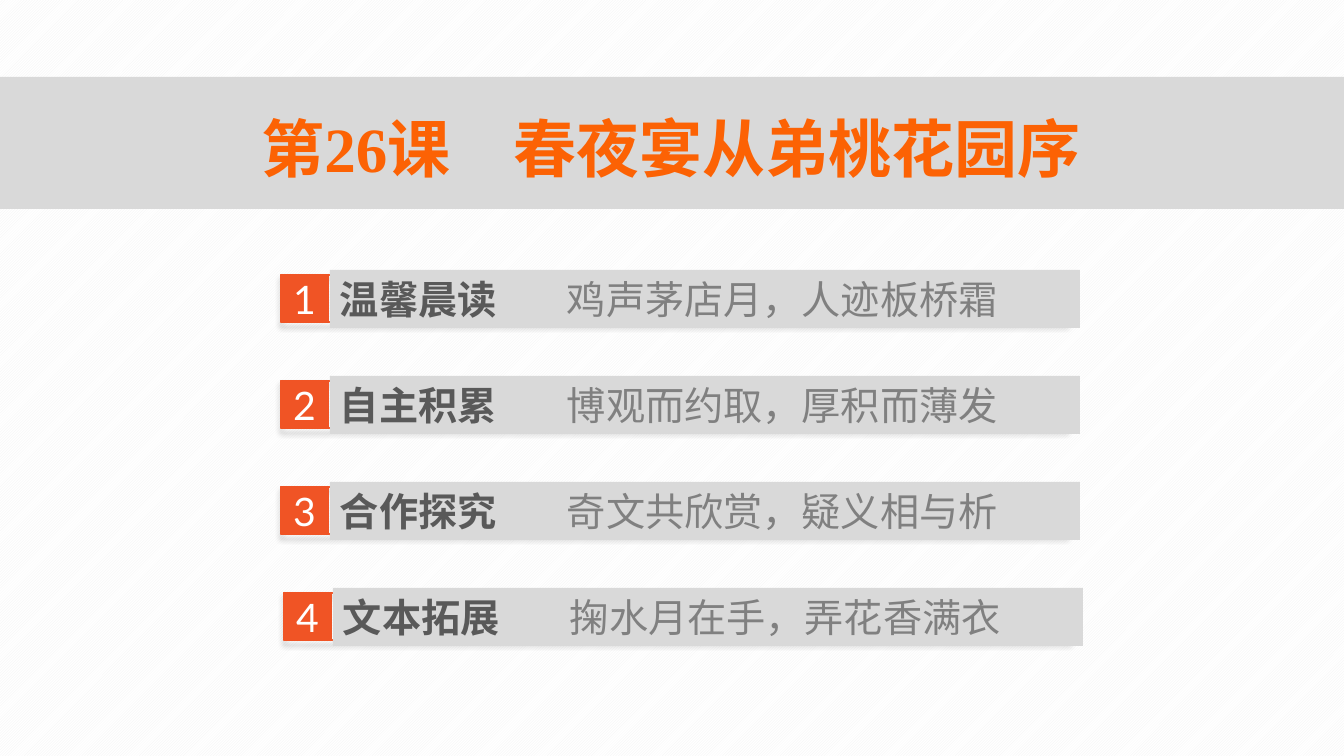
from lxml import etree
from pptx import Presentation
from pptx import util as u
from pptx.dml.color import RGBColor
from pptx.enum import dml, shapes, text
from pptx.oxml.ns import qn

TITLE = "第26课\u3000春夜宴从弟桃花园序".replace("\u3000", "　")
# heading, verse, shift to the right in px
SECTIONS = [
    ("温馨晨读", "鸡声茅店月，人迹板桥霜", 0),
    ("自主积累", "博观而约取，厚积而薄发", 0),
    ("合作探究", "奇文共欣赏，疑义相与析", 0),
    ("文本拓展", "掬水月在手，弄花香满衣", 3),
]

WHITE = RGBColor(0xFF, 0xFF, 0xFF)
STRIPE = RGBColor(0xF2, 0xF2, 0xF2)
BAND_GRAY = RGBColor(0xD9, 0xD9, 0xD9)
ORANGE = RGBColor(0xF0, 0x54, 0x25)
TITLE_ORANGE = RGBColor(0xFC, 0x62, 0x04)
HEADING_GRAY = RGBColor(0x59, 0x59, 0x59)
VERSE_GRAY = RGBColor(0x80, 0x80, 0x80)
CHINESE_FONT = "Noto Sans CJK SC"

TITLE_FORMAT = {"name": "Times New Roman", "size": u.Pt(45), "bold": True}
NUMBER_FORMAT = {"name": "Lato", "size": u.Pt(28), "bold": False}
HEADING_FORMAT = {"name": CHINESE_FONT, "size": u.Pt(28), "bold": True}
VERSE_FORMAT = {**HEADING_FORMAT, "bold": False}

FIRST_TOP, ROW_PITCH = 270, 106
BADGE_LEFT, BADGE_DROP, BADGE_SIZE = 281, 5, 47
FRAME_WIDTH = 785
BAR_LEFT, BAR_WIDTH, BAR_HEIGHT = 330, 750, 58
VERSE_TAB = 227


def px(length):
    return u.Emu(round(length * 914400 / 100.8))


def add_rectangle(parent, left, top, width, height, fill=None, line=None):
    shape = parent.add_shape(shapes.MSO_SHAPE.RECTANGLE, *map(px, (left, top, width, height)))
    shape.shadow.inherit = False
    for part, color in ((shape.fill, fill), (shape.line.fill, line)):
        if color is None:
            part.background()
        else:
            part.solid()
            part.fore_color.rgb = color
    if line is not None:
        shape.line.width = u.Pt(1)
    return shape


def add_run(paragraph, content, color, font_format):
    run = paragraph.add_run()
    run.text = content
    for name, value in font_format.items():
        setattr(run.font, name, value)
    run.font.color.rgb = color
    east_asian = etree.Element(qn("a:ea"), typeface=CHINESE_FONT)
    run.font._element.find(qn("a:latin")).addnext(east_asian)


def prepare_text(shape, alignment):
    """Set up a one-line, vertically centred frame and return its paragraph."""
    frame = shape.text_frame
    settings = {
        "word_wrap": True, "auto_size": text.MSO_AUTO_SIZE.NONE,
        "vertical_anchor": text.MSO_ANCHOR.MIDDLE, "margin_top": 0, "margin_bottom": 0,
    }
    for name, value in settings.items():
        setattr(frame, name, value)
    paragraph = frame.paragraphs[0]
    paragraph.alignment = alignment
    return paragraph


def add_soft_shadow(shape):
    effects = shape.element.spPr.find(qn("a:effectLst"))
    shadow = etree.SubElement(
        effects, qn("a:outerShdw"), blurRad=str(u.Pt(4)), dist=str(u.Pt(3)),
        dir="5400000", rotWithShape="0")
    color = etree.SubElement(shadow, qn("a:srgbClr"), val="000000")
    etree.SubElement(color, qn("a:alpha"), val="40000")


def add_verse_tab(paragraph):
    tabs = etree.SubElement(paragraph._p.get_or_add_pPr(), qn("a:tabLst"))
    etree.SubElement(tabs, qn("a:tab"), pos=str(px(VERSE_TAB)), algn="l")


def add_section(slide, index, heading, verse, shift):
    row = slide.shapes.add_group_shape().shapes
    top = FIRST_TOP + index * ROW_PITCH
    badge_left, badge_top = BADGE_LEFT + shift, top + BADGE_DROP

    frame = add_rectangle(row, badge_left, badge_top, FRAME_WIDTH, BADGE_SIZE, line=ORANGE)
    add_soft_shadow(frame)

    badge = add_rectangle(row, badge_left, badge_top, BADGE_SIZE, BADGE_SIZE, ORANGE, ORANGE)
    number = prepare_text(badge, text.PP_ALIGN.CENTER)
    add_run(number, str(index + 1), WHITE, NUMBER_FORMAT)

    bar = add_rectangle(row, BAR_LEFT + shift, top, BAR_WIDTH, BAR_HEIGHT, BAND_GRAY)
    line = prepare_text(bar, text.PP_ALIGN.LEFT)
    add_verse_tab(line)
    add_run(line, heading + "\t", HEADING_GRAY, HEADING_FORMAT)
    add_run(line, verse, VERSE_GRAY, VERSE_FORMAT)


def add_title(slide):
    title = slide.shapes.title
    title.left, title.top, title.width, title.height = map(px, (41, 106, 1260, 83))
    paragraph = prepare_text(title, text.PP_ALIGN.CENTER)
    add_run(paragraph, TITLE, TITLE_ORANGE, TITLE_FORMAT)
    band = add_rectangle(slide.shapes, 0, 77, 1344, 132, BAND_GRAY)
    title.element.addprevious(band.element)


def main():
    presentation = Presentation()
    presentation.slide_width, presentation.slide_height = px(1344), px(756)
    slide = presentation.slides.add_slide(presentation.slide_layouts.get_by_name("Title Only"))

    background = slide.background.fill
    background.patterned()
    background.pattern = dml.MSO_PATTERN.LIGHT_UPWARD_DIAGONAL
    background.fore_color.rgb = STRIPE
    background.back_color.rgb = WHITE

    add_title(slide)
    for index, section in enumerate(SECTIONS):
        add_section(slide, index, *section)
    presentation.save("out.pptx")


if __name__ == "__main__":
    main()
